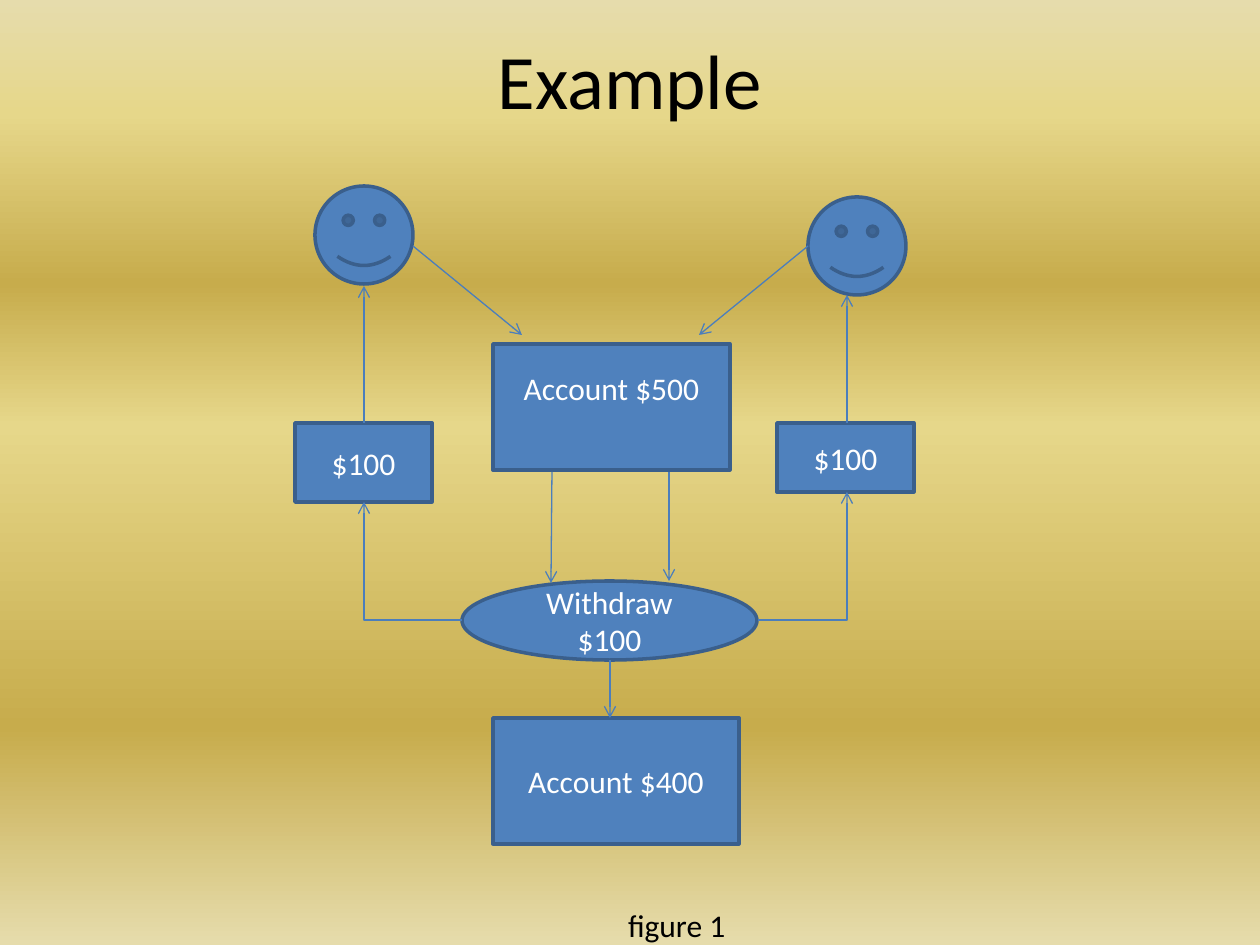
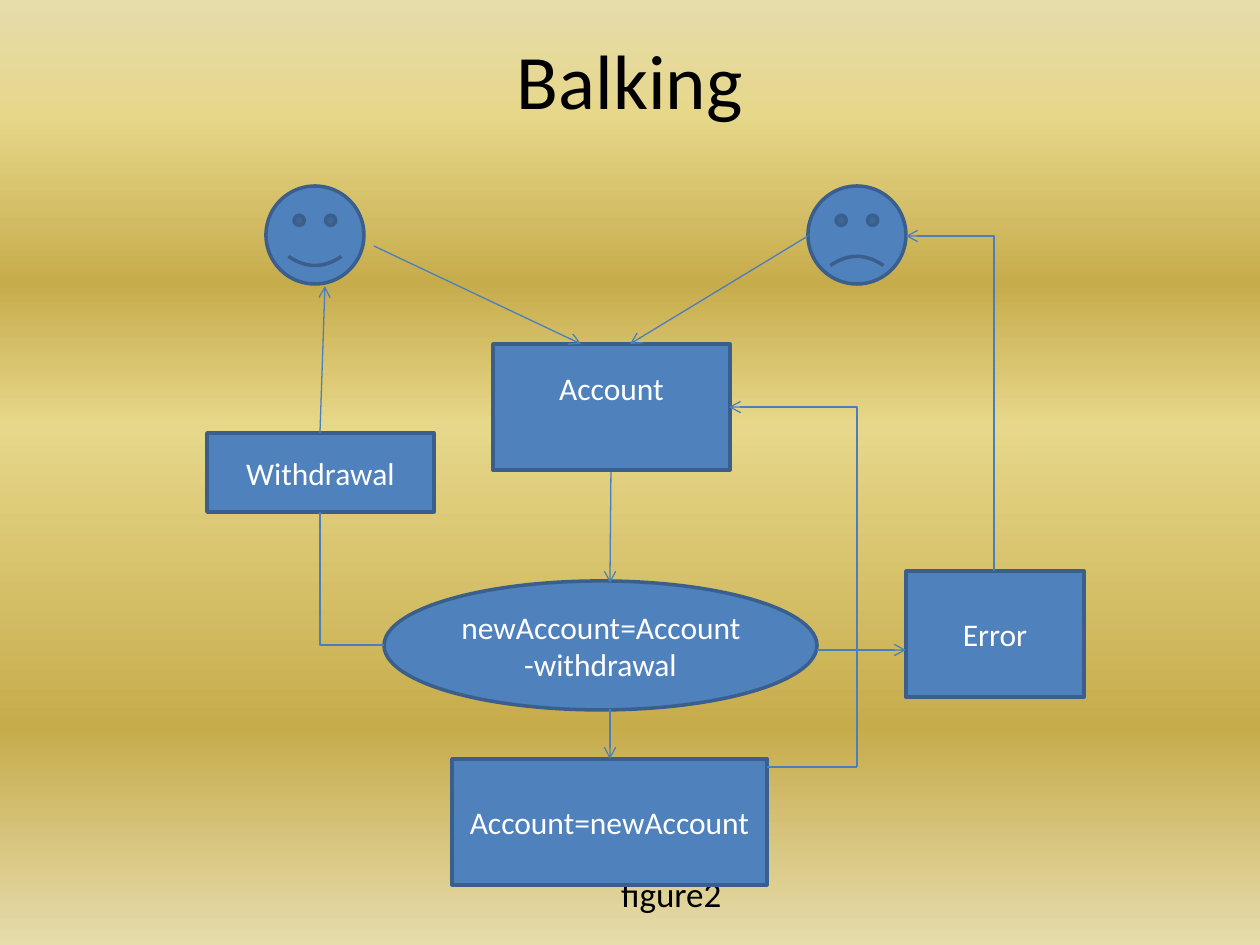
from dataclasses import dataclass

from lxml.etree import SubElement
from pptx import Presentation
from pptx.dml.color import RGBColor
from pptx.enum.shapes import MSO_CONNECTOR as Connector, MSO_SHAPE as Shape
from pptx.enum.text import MSO_ANCHOR as Anchor, PP_ALIGN as Align
from pptx.oxml.ns import qn
from pptx.util import Pt


@dataclass(frozen=True)
class Theme:
    font: str = "Calibri"
    text: str = "000000"
    label: str = "FFFFFF"
    fill: str = "4F81BD"
    outline: str = "3A5F8C"
    arrow: str = "4B7EBC"
    title_size: int = 44
    label_size: int = 18
    outline_width: float = 2
    arrow_width: float = 0.75
    background: tuple = (
        (0, "E6DCAC"), (12, "E6D78A"), (30, "C7AC4C"),
        (45, "E6D78A"), (77, "C7AC4C"), (100, "E6DCAC"),
    )


theme = Theme()
PIXEL = 914400 / 126
FACE = 98
SMILE = 0.04653
RAISED = 38


def px(*lengths):
    return [round(length * PIXEL) for length in lengths]


def write(shape, text, size, color, align):
    frame = shape.text_frame
    frame.word_wrap = True
    frame.text = text
    paragraph = frame.paragraphs[0]
    paragraph.alignment = align
    font = paragraph.runs[0].font
    font.name = theme.font
    font.size = Pt(size)
    font.color.rgb = RGBColor.from_string(color)


figures = [
    {
        "title": "Example",
        "caption": ("figure 1", 628, 906, 18),
        "faces": [(315, 186, SMILE), (808, 197, SMILE)],
        "boxes": [
            (Shape.RECTANGLE, "Account $500", 493, 344, 237, 126, RAISED),
            (Shape.OVAL, "Withdraw $100", 462, 581, 295, 79, 0),
            (Shape.RECTANGLE, "Account $400", 493, 718, 246, 126, 0),
            (Shape.RECTANGLE, "$100", 777, 423, 137, 69, 0),
            (Shape.RECTANGLE, "$100", 295, 423, 137, 79, 0),
        ],
        "links": [
            ("line", 413, 246, 522, 335, "tailEnd"),
            ("line", 808, 246, 699, 335, "tailEnd"),
            ("line", 552, 472, 551, 583, "tailEnd"),
            ("line", 669, 472, 669, 581, "tailEnd"),
            ("line", 610, 660, 610, 718, "tailEnd"),
            ("bent", 462, 620, 364, 502, "tailEnd"),
            ("bent", 758, 620, 847, 492, "tailEnd"),
            ("line", 364, 423, 364, 286, "tailEnd"),
            ("line", 847, 423, 847, 295, "tailEnd"),
        ],
    },
    {
        "title": "Balking",
        "caption": ("figure2", 621, 872, 20),
        "faces": [(266, 186, SMILE), (808, 186, -SMILE)],
        "boxes": [
            (Shape.RECTANGLE, "Account", 493, 344, 237, 126, RAISED),
            (Shape.OVAL, "newAccount=Account-withdrawal", 384, 581, 433, 129, 0),
            (Shape.RECTANGLE, "Account=newAccount", 452, 759, 315, 126, 0),
            (Shape.RECTANGLE, "Withdrawal", 207, 433, 227, 79, 0),
            (Shape.RECTANGLE, "Error", 906, 571, 178, 126, 0),
        ],
        "links": [
            ("line", 374, 246, 581, 344, "tailEnd"),
            ("line", 808, 236, 630, 344, "tailEnd"),
            ("line", 611, 472, 610, 583, "tailEnd"),
            ("line", 610, 709, 610, 759, "tailEnd"),
            ("line", 320, 433, 325, 286, "tailEnd"),
            ("bent", 906, 236, 994, 571, "headEnd"),
            ("bent", 729, 407, 857, 767, "headEnd"),
            ("line", 857, 767, 767, 767, None),
            ("line", 817, 650, 906, 650, "tailEnd"),
            ("bent", 384, 645, 320, 512, None),
        ],
    },
]

presentation = Presentation()
presentation.slide_width, presentation.slide_height = px(1260, 945)

master = presentation.slide_master
fill = master.background.fill
fill.gradient()
fill.gradient_angle = 270
stops = next(master.element.iter(qn("a:gsLst")))
for stop in list(stops):
    stops.remove(stop)
for position, color in theme.background:
    stop = SubElement(stops, qn("a:gs"), pos=str(position * 1000))
    SubElement(stop, qn("a:srgbClr"), val=color)

layout = presentation.slide_layouts[1]
title = layout.placeholders[0]
title.left, title.top, title.width, title.height = px(63, 20, 1134, 118)
title.text_frame.vertical_anchor = Anchor.MIDDLE

for figure in figures:
    slide = presentation.slides.add_slide(layout)
    write(slide.shapes.title, figure["title"], theme.title_size, theme.text, Align.CENTER)

    text, left, top, size = figure["caption"]
    caption = slide.placeholders[1]
    caption.left, caption.top, caption.width, caption.height = px(left, top, 300, 39)
    write(caption, text, size, theme.text, Align.LEFT)
    frame = caption.text_frame
    frame.margin_left = frame.margin_right = frame.margin_top = frame.margin_bottom = 0
    paragraph = frame.paragraphs[0]
    paragraph.space_before = Pt(0)
    properties = paragraph._p.get_or_add_pPr()
    properties.set("marL", "0")
    properties.set("indent", "0")
    SubElement(properties, qn("a:buNone"))

    nodes = []
    for left, top, mouth in figure["faces"]:
        face = slide.shapes.add_shape(Shape.SMILEY_FACE, *px(left, top, FACE, FACE))
        face.adjustments[0] = mouth
        nodes.append(face)
    for kind, text, left, top, width, height, raised in figure["boxes"]:
        box = slide.shapes.add_shape(kind, *px(left, top, width, height))
        write(box, text, theme.label_size, theme.label, Align.CENTER)
        box.text_frame.vertical_anchor = Anchor.MIDDLE
        box.text_frame.margin_bottom += px(raised)[0]
        nodes.append(box)
    for node in nodes:
        node.shadow.inherit = False
        node.fill.solid()
        node.fill.fore_color.rgb = RGBColor.from_string(theme.fill)
        node.line.color.rgb = RGBColor.from_string(theme.outline)
        node.line.width = Pt(theme.outline_width)

    for kind, x1, y1, x2, y2, arrow_end in figure["links"]:
        route = Connector.ELBOW if kind == "bent" else Connector.STRAIGHT
        link = slide.shapes.add_connector(route, *px(x1, y1, x2, y2))
        link.line.color.rgb = RGBColor.from_string(theme.arrow)
        link.line.width = Pt(theme.arrow_width)
        properties = link._element.spPr
        if kind == "bent":
            properties.find(qn("a:prstGeom")).set("prst", "bentConnector2")
        if arrow_end:
            SubElement(properties.find(qn("a:ln")), qn(f"a:{arrow_end}"), type="arrow")
        SubElement(properties, qn("a:effectLst"))

presentation.save("out.pptx")
